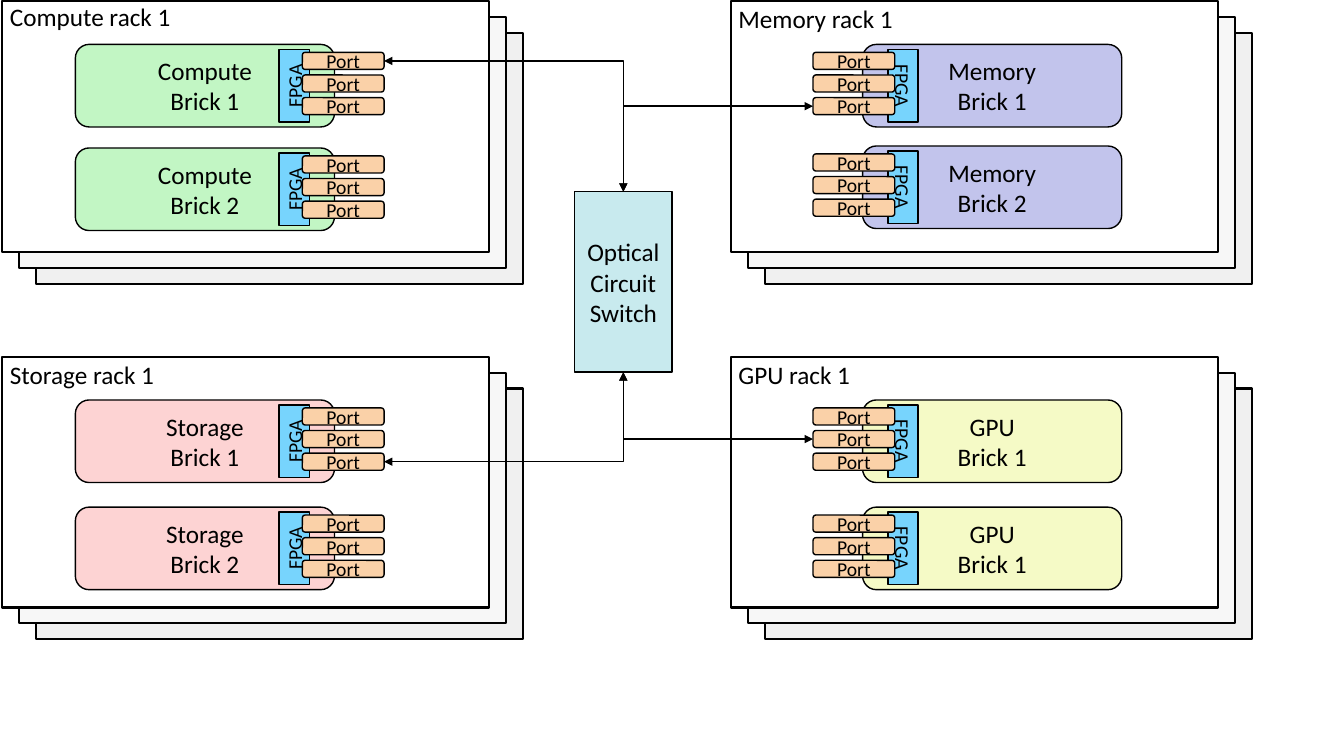
from dataclasses import dataclass

from lxml.etree import SubElement
from pptx import Presentation
from pptx.dml.color import RGBColor
from pptx.enum.shapes import MSO_CONNECTOR, MSO_SHAPE
from pptx.enum.text import MSO_ANCHOR, MSO_AUTO_SIZE, PP_ALIGN
from pptx.oxml.ns import qn
from pptx.shapes.autoshape import Shape
from pptx.shapes.shapetree import GroupShapes, SlideShapes
from pptx.util import Cm, Pt

BLACK = RGBColor(0x00, 0x00, 0x00)
WHITE = RGBColor(0xFF, 0xFF, 0xFF)
LIGHT_GREY = RGBColor(0xF7, 0xF7, 0xF7)
GREY = RGBColor(0xF0, 0xF0, 0xF0)
GREEN = RGBColor(0xC2, 0xF6, 0xC4)
VIOLET = RGBColor(0xC2, 0xC4, 0xEC)
PINK = RGBColor(0xFD, 0xD3, 0xD3)
YELLOW = RGBColor(0xF5, 0xFA, 0xC6)
BLUE = RGBColor(0x77, 0xD4, 0xFD)
ORANGE = RGBColor(0xFA, 0xD1, 0xA8)
TEAL = RGBColor(0xC8, 0xEA, 0xEE)

FONT = "Calibri"
TOP, LEFT, BOTTOM, RIGHT = range(4)
RACK_W, RACK_H = 12.27, 6.32
BRICK_W, BRICK_H = 6.53, 2.08
FPGA_W, FPGA_H, FPGA_X = 1.83, 0.76, 4.6
PORT_W, PORT_H, PORT_X, PORT_Y, PORT_STEP = 2.06, 0.43, 5.72, 0.2, 0.57
LAYERS = ((2, GREY), (1, LIGHT_GREY), (0, WHITE))


@dataclass
class Box:
    x: float
    y: float
    w: float
    h: float
    fill: RGBColor
    text: str = ""
    size: int = 18
    line: float = 1
    kind: MSO_SHAPE = MSO_SHAPE.ROUNDED_RECTANGLE
    rotation: int = 0


@dataclass
class Rack:
    x: float
    y: float
    label: str
    label_x: float
    label_y: float
    label_w: float
    fill: RGBColor
    brick_x: float
    bricks: tuple[tuple[str, float], ...]
    mirrored: bool
    linked_port: int
    switch_site: int


RACKS = (
    Rack(0.05, 0.03, "Compute rack 1", 0, -0.08, 4.6, GREEN, 1.9,
         (("Compute\nBrick 1", 1.12), ("Compute\nBrick 2", 3.73)), False, 0, TOP),
    Rack(18.42, 0.03, "Memory rack 1", 18.36, -0.03, 4.44, VIOLET, 21.74,
         (("Memory\nBrick 1", 1.12), ("Memory\nBrick 2", 3.68)), True, 2, TOP),
    Rack(18.42, 8.99, "GPU rack 1", 18.36, 8.92, 3.35, YELLOW, 21.74,
         (("GPU\nBrick 1", 10.08), ("GPU\nBrick 1", 12.78)), True, 1, BOTTOM),
    Rack(0.05, 8.99, "Storage rack 1", 0, 8.92, 4.19, PINK, 1.9,
         (("Storage\nBrick 1", 10.08), ("Storage\nBrick 2", 12.78)), False, 2, BOTTOM),
)


def write(sp: Shape, text: str, size: int, align: PP_ALIGN, frame: dict) -> None:
    tf = sp.text_frame
    tf.text = text
    for name, value in frame.items():
        setattr(tf, name, value)
    for p in tf.paragraphs:
        p.alignment = align
        for r in p.runs:
            for name, value in {"name": FONT, "size": Pt(size)}.items():
                setattr(r.font, name, value)
            r.font.color.rgb = BLACK


def add_box(shapes: SlideShapes | GroupShapes, box: Box) -> Shape:
    sp = shapes.add_shape(box.kind, Cm(box.x), Cm(box.y), Cm(box.w), Cm(box.h))
    sp.shadow.inherit = False
    sp.rotation = box.rotation
    sp.fill.solid()
    sp.fill.fore_color.rgb = box.fill
    sp.line.color.rgb = BLACK
    sp.line.width = Pt(box.line)
    if box.text:
        write(sp, box.text, box.size, PP_ALIGN.CENTER,
              {"word_wrap": True, "vertical_anchor": MSO_ANCHOR.MIDDLE})
    return sp


def add_brick(shapes: SlideShapes, rack: Rack, text: str, y: float) -> list[Shape]:
    def place(offset: float, width: float) -> float:
        return rack.brick_x + (BRICK_W - offset - width if rack.mirrored else offset)

    group = shapes.add_group_shape().shapes
    add_box(group, Box(rack.brick_x, y, BRICK_W, BRICK_H, rack.fill, text))
    add_box(group, Box(place(FPGA_X, FPGA_W), y + (BRICK_H - FPGA_H) / 2, FPGA_W, FPGA_H, BLUE,
                       "FPGA", 14, kind=MSO_SHAPE.RECTANGLE,
                       rotation=90 if rack.mirrored else 270))
    return [add_box(group, Box(place(PORT_X, PORT_W), y + PORT_Y + i * PORT_STEP,
                               PORT_W, PORT_H, ORANGE, "Port", 14)) for i in range(3)]


def add_rack(shapes: SlideShapes, rack: Rack) -> Shape:
    group = shapes.add_group_shape().shapes
    for depth, fill in LAYERS:
        add_box(group, Box(rack.x + 0.43 * depth, rack.y + 0.4 * depth, RACK_W, RACK_H, fill,
                           line=1.5, kind=MSO_SHAPE.RECTANGLE))
    ports = [add_brick(shapes, rack, text, y) for text, y in rack.bricks]
    label = shapes.add_textbox(Cm(rack.label_x), Cm(rack.label_y), Cm(rack.label_w), Cm(1.02))
    write(label, rack.label, 18, PP_ALIGN.LEFT,
          {"word_wrap": False, "auto_size": MSO_AUTO_SIZE.SHAPE_TO_FIT_TEXT})
    return ports[0][rack.linked_port]


def add_link(shapes: SlideShapes, port: Shape, port_site: int,
             switch: Shape, switch_site: int) -> None:
    link = shapes.add_connector(MSO_CONNECTOR.ELBOW, 0, 0, 0, 0)
    link.begin_connect(port, port_site)
    link.end_connect(switch, switch_site)
    link.line.color.rgb = BLACK
    link.line.width = Pt(1)
    props = link._element.spPr
    props.find(qn("a:prstGeom")).set("prst", "bentConnector2")
    for tag in ("a:headEnd", "a:tailEnd"):
        SubElement(props.find(qn("a:ln")), qn(tag), type="triangle")
    SubElement(props, qn("a:effectLst"))


prs = Presentation()
prs.slide_width, prs.slide_height = Cm(33.87), Cm(19.05)
s = prs.slides.add_slide(prs.slide_layouts[6])
linked_ports = [add_rack(s.shapes, rack) for rack in RACKS]
switch = add_box(s.shapes, Box(14.48, 4.83, 2.46, 4.55, TEAL, "Optical Circuit Switch",
                               kind=MSO_SHAPE.RECTANGLE))
for rack, port in zip(RACKS, linked_ports):
    add_link(s.shapes, port, LEFT if rack.mirrored else RIGHT, switch, rack.switch_site)
prs.save("out.pptx")
